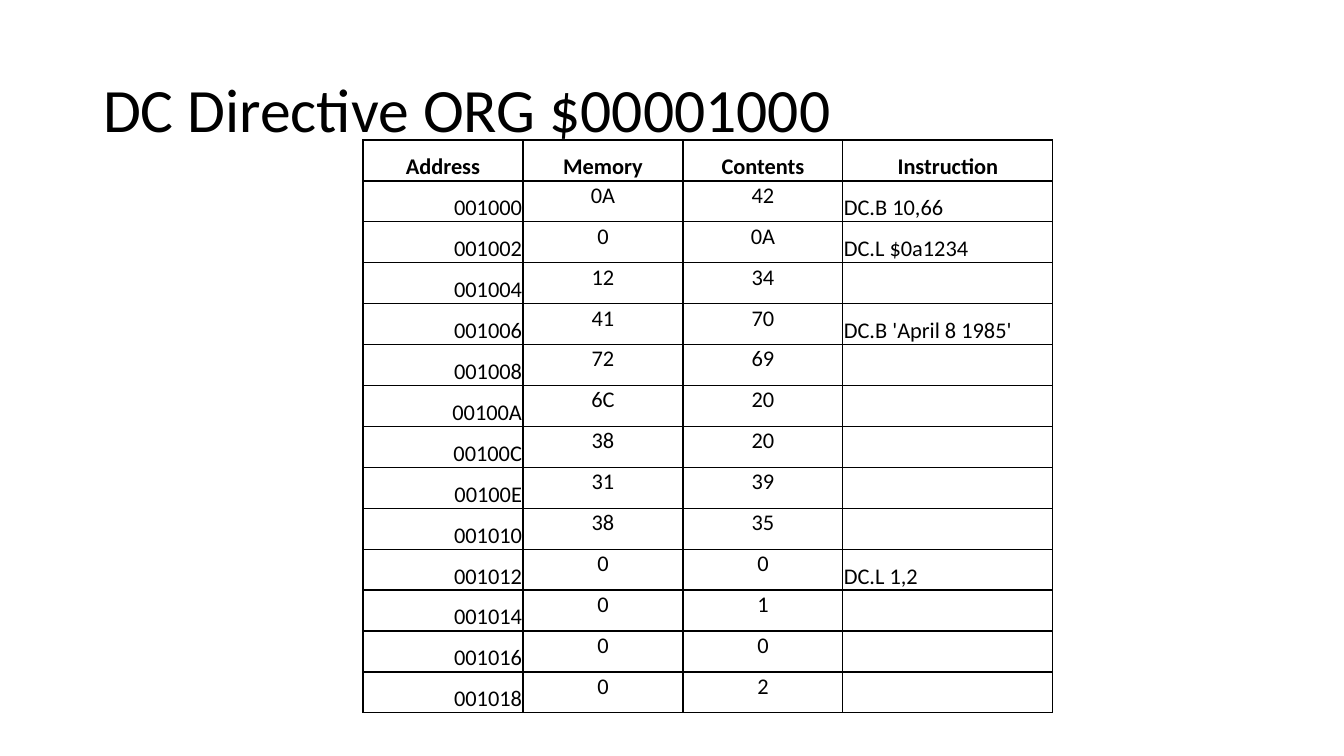
from pptx import Presentation
from pptx.dml.color import RGBColor
from pptx.enum.text import MSO_ANCHOR as ANCHOR, MSO_AUTO_SIZE as AUTO_SIZE, PP_ALIGN as ALIGN
from pptx.oxml import parse_xml
from pptx.oxml.ns import nsdecls
from pptx.util import Pt

BLACK = RGBColor(0x00, 0x00, 0x00)
WHITE = RGBColor(0xFF, 0xFF, 0xFF)
FONT = "Calibri"
EMU_PER_PX = 914400 / 100.8

HEADINGS = ("Address", "Memory", "Contents", "Instruction")
START_ADDRESS = 0x1000
MEMORY_WORDS = (
    ("0A", "42", "DC.B 10,66"),
    ("0", "0A", "DC.L $0a1234"),
    ("12", "34", ""),
    ("41", "70", "DC.B 'April 8 1985'"),
    ("72", "69", ""),
    ("6C", "20", ""),
    ("38", "20", ""),
    ("31", "39", ""),
    ("38", "35", ""),
    ("0", "0", "DC.L 1,2"),
    ("0", "1", ""),
    ("0", "0", ""),
    ("0", "2", ""),
)
COLUMN_WIDTHS = (160, 160, 160, 210)
COLUMN_ALIGNS = (ALIGN.RIGHT, ALIGN.CENTER, ALIGN.CENTER, ALIGN.LEFT)
COLUMN_ANCHORS = (ANCHOR.BOTTOM, ANCHOR.TOP, ANCHOR.TOP, ANCHOR.BOTTOM)


def px(length):
    """Turn a length in px into EMU."""
    return round(length * EMU_PER_PX)


def set_font(paragraph, size, bold=False):
    """Give a paragraph the slide's typeface in black."""
    font = paragraph.font
    font.name, font.size, font.bold = FONT, Pt(size), bold
    font.color.rgb = BLACK


def add_borders(cell):
    """Draw a thin black line on each side of a cell."""
    properties = cell._tc.get_or_add_tcPr()
    for position, side in enumerate(("lnL", "lnR", "lnT", "lnB")):
        border = parse_xml(
            f'<a:{side} {nsdecls("a")} w="{Pt(1)}"><a:solidFill>'
            f'<a:srgbClr val="{BLACK}"/></a:solidFill></a:{side}>'
        )
        properties.insert(position, border)


def fill_cell(cell, text, align, anchor, bold):
    """Write and format one table cell."""
    cell.text = text
    cell.fill.solid()
    cell.fill.fore_color.rgb = WHITE
    cell.vertical_anchor = anchor
    cell.margin_left = cell.margin_right = cell.margin_top = px(1)
    cell.margin_bottom = 0
    paragraph = cell.text_frame.paragraphs[0]
    paragraph.alignment = align
    set_font(paragraph, 16, bold)
    add_borders(cell)


def place_title(slide, left, top, width, height):
    """Place the slide title in the given box."""
    title = slide.shapes.title
    title.left, title.top = px(left), px(top)
    title.width, title.height = px(width), px(height)
    frame = title.text_frame
    frame.text = "DC Directive ORG $00001000"
    frame.auto_size = AUTO_SIZE.NONE
    frame.vertical_anchor = ANCHOR.MIDDLE
    heading = frame.paragraphs[0]
    heading.alignment = ALIGN.LEFT
    heading.line_spacing = 0.9
    set_font(heading, 44)


def add_memory_table(slide, left, top, height):
    """Add the memory map with equal rows in the given height."""
    rows = [HEADINGS]
    for index, word in enumerate(MEMORY_WORDS):
        rows.append((f"{START_ADDRESS + 2 * index:06X}", *word))
    memory_map = slide.shapes.add_table(
        len(rows), len(HEADINGS), px(left), px(top), px(sum(COLUMN_WIDTHS)), px(height)
    ).table
    memory_map.first_row = memory_map.horz_banding = False
    for column, width in zip(memory_map.columns, COLUMN_WIDTHS):
        column.width = px(width)
    for row_index, texts in enumerate(rows):
        is_heading = row_index == 0
        for column_index, text in enumerate(texts):
            align = ALIGN.CENTER if is_heading else COLUMN_ALIGNS[column_index]
            anchor = ANCHOR.BOTTOM if is_heading else COLUMN_ANCHORS[column_index]
            fill_cell(memory_map.cell(row_index, column_index), text, align, anchor, is_heading)


def main():
    """Build the slide and save it."""
    presentation = Presentation()
    presentation.slide_width, presentation.slide_height = px(1344), px(756)
    slide = presentation.slides.add_slide(presentation.slide_layouts[5])
    place_title(slide, 93, 40, 1159, 146)
    add_memory_table(slide, 363, 140, 573)
    presentation.save("out.pptx")


if __name__ == "__main__":
    main()
